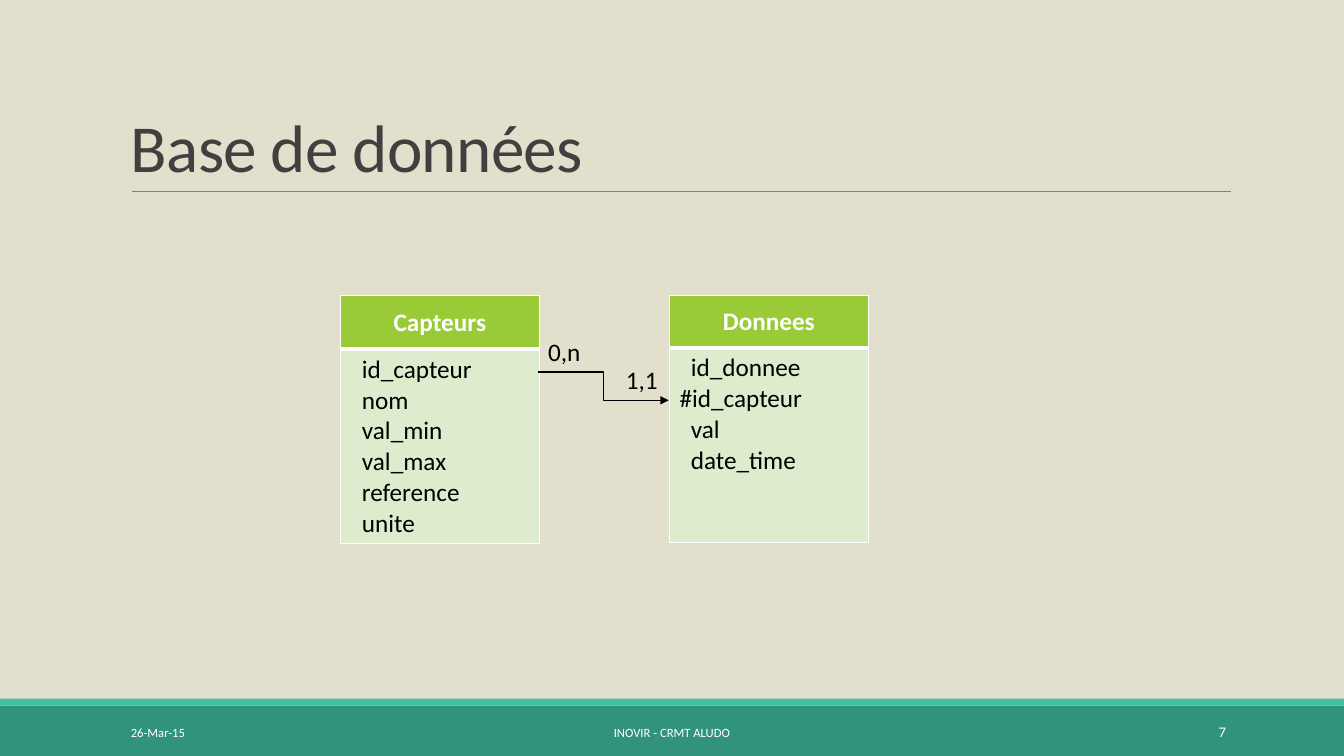
"""Build the database schema slide: two entity tables joined by a relation."""
from typing import NamedTuple

from lxml import etree
from pptx import Presentation
from pptx.dml.color import RGBColor
from pptx.enum.shapes import MSO_CONNECTOR, MSO_SHAPE
from pptx.enum.text import MSO_ANCHOR, PP_ALIGN
from pptx.oxml.ns import qn
from pptx.util import Pt

LEFT, CENTER, RIGHT = PP_ALIGN.LEFT, PP_ALIGN.CENTER, PP_ALIGN.RIGHT
TOP, MIDDLE, BOTTOM = MSO_ANCHOR.TOP, MSO_ANCHOR.MIDDLE, MSO_ANCHOR.BOTTOM
STRAIGHT, ELBOW = MSO_CONNECTOR.STRAIGHT, MSO_CONNECTOR.ELBOW
RECTANGLE = MSO_SHAPE.RECTANGLE

SAND = RGBColor(0xE2, 0xDF, 0xCC)
TEAL = RGBColor(0x31, 0x93, 0x7B)
MINT = RGBColor(0x44, 0xC1, 0xA3)
GRAY = RGBColor(0x80, 0x80, 0x80)
CHARCOAL = RGBColor(0x40, 0x40, 0x40)
LIME = RGBColor(0x99, 0xCB, 0x38)
PALE_GREEN = RGBColor(0xDE, 0xEC, 0xCE)
BLACK = RGBColor(0, 0, 0)
WHITE = RGBColor(0xFF, 0xFF, 0xFF)

FONT = "Calibri"
SLIDE_WIDTH, SLIDE_HEIGHT = 960, 540
ENTITY_TOP, ENTITY_WIDTH, BODY_HEIGHT = 211, 142, 139
FIELD_INDENT = 8.1
FOOTER_TOP, FOOTER_HEIGHT = 508.5, 28.8


class Band(NamedTuple):
    top: float
    height: float
    color: RGBColor


class Entity(NamedTuple):
    name: str
    left: float
    header_height: float
    fields: list[str]


class Footer(NamedTuple):
    text: str
    left: float
    width: float
    align: PP_ALIGN
    size: float


class Cardinality(NamedTuple):
    text: str
    left: float
    top: float
    width: float


BANDS = [Band(504, 36, TEAL), Band(499, 5, MINT)]
ENTITIES = [
    Entity("Capteurs", 243.2, 38.5,
           ["id_capteur", "nom", "val_min", "val_max", "reference", "unite"]),
    Entity("Donnees", 478.2, 37.5,
           ["id_donnee", "#id_capteur", "val", "date_time"]),
]
FOOTERS = [
    Footer("26-Mar-15", 86.4, 194.4, LEFT, 9),
    Footer("INOVIR - CRMT ALUDO", 290.2, 379.4, CENTER, 9),
    Footer("7", 779.8, 103, RIGHT, 10.5),
]
CARDINALITIES = [Cardinality("0,n", 384.5, 237, 38), Cardinality("1,1", 440, 257, 37.5)]


def write_text(frame, lines, *, size=18, color=BLACK, bold=False, align=LEFT,
               line_spacing=None, tracking=0):
    """Fill a text frame with one formatted paragraph per line."""
    for index, line in enumerate(lines):
        paragraph = frame.add_paragraph() if index else frame.paragraphs[0]
        paragraph.alignment = align
        if line_spacing:
            paragraph.line_spacing = line_spacing
        run = paragraph.add_run()
        run.text = line
        run.font.name, run.font.size = FONT, Pt(size)
        run.font.color.rgb, run.font.bold = color, bold
        if tracking:
            run.font._element.set("spc", str(int(tracking * 100)))


def add_label(slide, lines, left, top, width, height, *, anchor=TOP, wrap=True, **text_format):
    """Place a text box and write its lines."""
    frame = slide.shapes.add_textbox(Pt(left), Pt(top), Pt(width), Pt(height)).text_frame
    frame.word_wrap, frame.vertical_anchor = wrap, anchor
    write_text(frame, lines, **text_format)


def add_band(slide, band: Band):
    """Draw a full-width coloured band."""
    shape = slide.shapes.add_shape(RECTANGLE, 0, Pt(band.top), Pt(SLIDE_WIDTH), Pt(band.height))
    shape.shadow.inherit = False
    shape.fill.solid()
    shape.fill.fore_color.rgb = band.color
    shape.line.fill.background()


def add_line(slide, kind, start, end, color, width):
    """Draw a connector without shadow and return it."""
    line = slide.shapes.add_connector(kind, *map(Pt, start), *map(Pt, end))
    line.line.color.rgb, line.line.width = color, Pt(width)
    etree.SubElement(line._element.spPr, qn("a:effectLst"))
    return line


def style_cell(cell, fill, top_width, bottom_width):
    """Give a cell white borders and a solid fill."""
    properties = cell._tc.get_or_add_tcPr()
    widths = {"lnL": 1, "lnR": 1, "lnT": top_width, "lnB": bottom_width}
    for side, width in widths.items():
        border = etree.SubElement(properties, qn(f"a:{side}"), w=str(Pt(width)))
        solid = etree.SubElement(border, qn("a:solidFill"))
        etree.SubElement(solid, qn("a:srgbClr"), val=str(WHITE))
    cell.fill.solid()
    cell.fill.fore_color.rgb = fill


def add_entity(slide, entity: Entity):
    """Draw an entity as a table with a name row and a field row."""
    table = slide.shapes.add_table(
        2, 1, Pt(entity.left), Pt(ENTITY_TOP), Pt(ENTITY_WIDTH),
        Pt(entity.header_height + BODY_HEIGHT)).table
    table.horz_banding = False
    table.rows[0].height, table.rows[1].height = Pt(entity.header_height), Pt(BODY_HEIGHT)
    header, body = table.cell(0, 0), table.cell(1, 0)
    style_cell(header, LIME, 1, 3)
    style_cell(body, PALE_GREEN, 3, 1)
    header.vertical_anchor = MIDDLE
    write_text(header.text_frame, [entity.name], color=WHITE, bold=True, align=CENTER)
    write_text(body.text_frame, entity.fields)
    for paragraph in body.text_frame.paragraphs:
        if not paragraph.text.startswith("#"):
            paragraph._p.get_or_add_pPr().set("marL", str(Pt(FIELD_INDENT)))


def main():
    """Assemble and save the slide."""
    deck = Presentation()
    deck.slide_width, deck.slide_height = Pt(SLIDE_WIDTH), Pt(SLIDE_HEIGHT)
    slide = deck.slides.add_slide(deck.slide_layouts[6])
    slide.background.fill.solid()
    slide.background.fill.fore_color.rgb = SAND

    for band in BANDS:
        add_band(slide, band)
    add_line(slide, STRAIGHT, (94.3, 136.6), (879, 136.6), GRAY, 0.5)
    add_label(slide, ["Base de données"], 86.4, 22.3, 792, 114.5, anchor=BOTTOM,
              size=48, color=CHARCOAL, line_spacing=0.85, tracking=-0.5)
    for footer in FOOTERS:
        add_label(slide, [footer.text], footer.left, FOOTER_TOP, footer.width, FOOTER_HEIGHT,
                  anchor=MIDDLE, size=footer.size, color=WHITE, align=footer.align)

    for entity in ENTITIES:
        add_entity(slide, entity)
    relation = add_line(slide, ELBOW, (384.5, 265.7), (477.7, 285.9), BLACK, 1)
    etree.SubElement(relation.line._get_or_add_ln(), qn("a:tailEnd"), type="triangle")
    for cardinality in CARDINALITIES:
        add_label(slide, [cardinality.text], cardinality.left, cardinality.top,
                  cardinality.width, 29, wrap=False)
    deck.save("out.pptx")


main()
